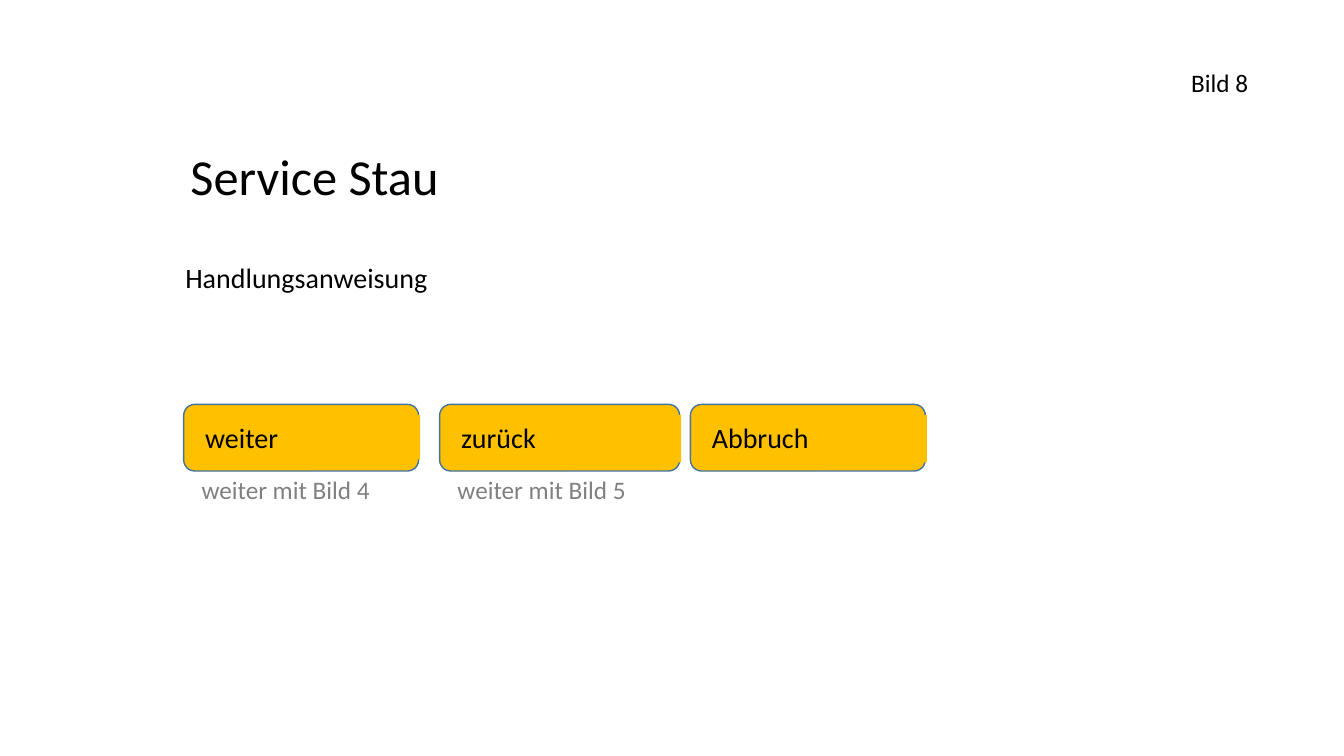
import pptx
import pptx.dml.color
import pptx.enum.shapes
import pptx.enum.text
import pptx.util

Cm = pptx.util.Cm
SHAPE = pptx.enum.shapes.MSO_SHAPE


def color(hex_string):
    """Turn a hex string into a colour."""
    return pptx.dml.color.RGBColor.from_string(hex_string)


def write(shape, text, size=18, font_color="000000", wrap=False):
    """Put left-aligned text into a shape, starting at its top."""
    frame = shape.text_frame
    frame.word_wrap = wrap
    frame.vertical_anchor = pptx.enum.text.MSO_ANCHOR.TOP
    paragraph = frame.paragraphs[0]
    paragraph.alignment = pptx.enum.text.PP_ALIGN.LEFT
    run = paragraph.add_run()
    run.text = text
    run.font.name = "Calibri"
    run.font.size = pptx.util.Pt(size)
    run.font.color.rgb = color(font_color)


presentation = pptx.Presentation()
presentation.slide_width = Cm(33.87)
presentation.slide_height = Cm(19.05)
slide = presentation.slides.add_slide(presentation.slide_layouts[6])

# Headings and hints: text, left, top, width, height, size, colour
texts = [
    ("Service Stau", 4.55, 3.53, 6.83, 1.8, 36, "000000"),
    ("Bild 8", 29.77, 1.57, 1.96, 1.02, 18, "000000"),
    ("Handlungsanweisung", 4.42, 6.43, 6.68, 1.12, 20, "000000"),
    ("weiter mit Bild 4", 4.83, 11.84, 4.8, 1.02, 18, "808080"),
    ("weiter mit Bild 5", 11.28, 11.84, 4.8, 1.02, 18, "808080"),
]
for text, left, top, width, height, size, font_color in texts:
    box = slide.shapes.add_textbox(Cm(left), Cm(top), Cm(width), Cm(height))
    write(box, text, size=size, font_color=font_color)

# Buttons: a rounded frame with a label plate slightly past its right edge
buttons = [
    ("weiter", 4.63, 5.92, 1.12),
    ("zurück", 11.08, 6.05, 1.19),
    ("Abbruch", 17.4, 5.92, 1.19),
]
for text, left, width, label_height in buttons:
    button = slide.shapes.add_group_shape()
    frame = button.shapes.add_shape(
        SHAPE.ROUNDED_RECTANGLE, Cm(left), Cm(10.19), Cm(width), Cm(1.68))
    label = button.shapes.add_shape(
        SHAPE.RECTANGLE, Cm(left + 0.29), Cm(10.46), Cm(width - 0.25), Cm(label_height))
    for part in (frame, label):
        part.shadow.inherit = False
        part.fill.solid()
        part.fill.fore_color.rgb = color("FFC000")
    frame.line.color.rgb = color("43739E")
    frame.line.width = pptx.util.Pt(1)
    label.line.fill.background()
    write(label, text, size=20, wrap=True)

presentation.save("out.pptx")
